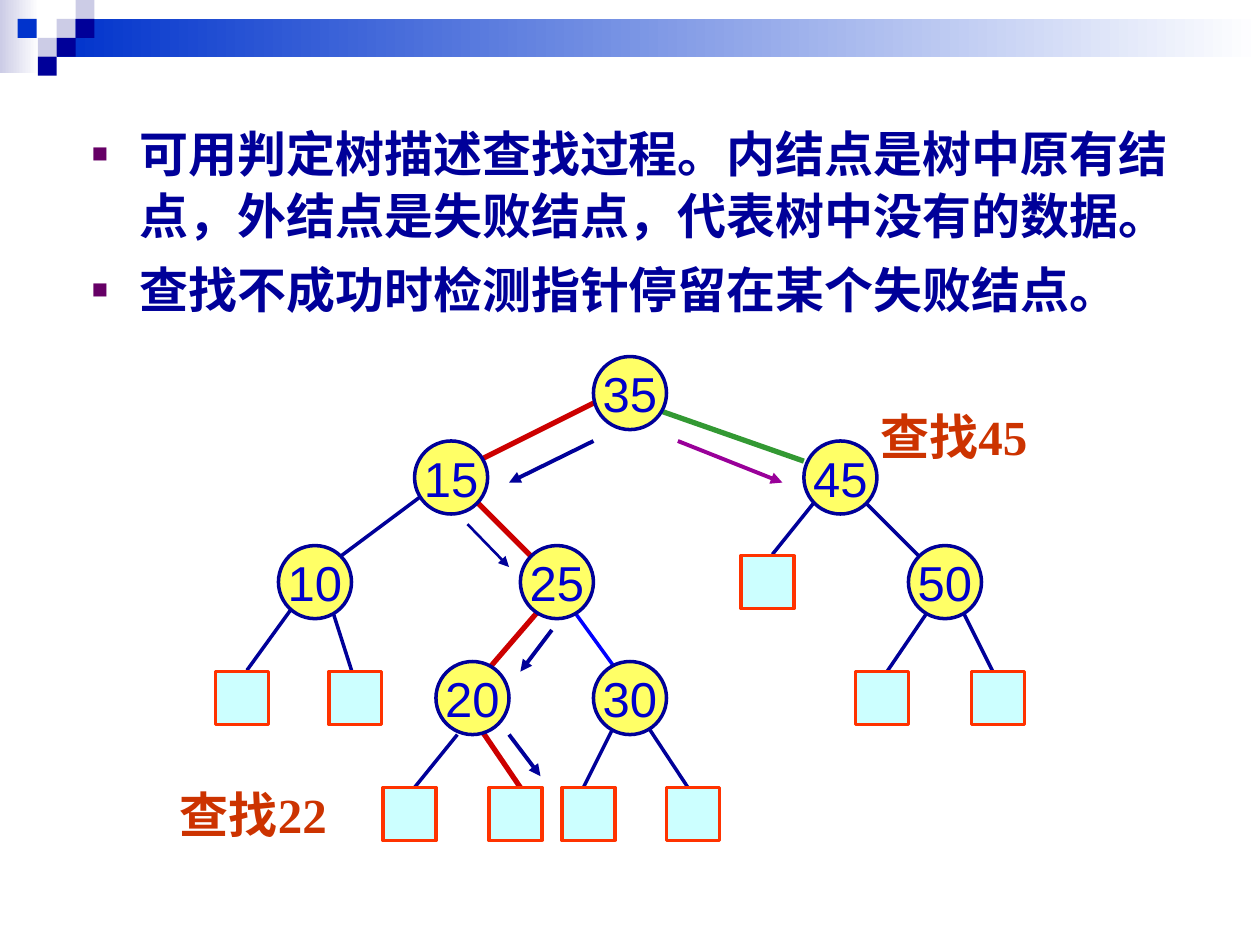
from typing import NamedTuple

import lxml.etree
import pptx
import pptx.dml.color
import pptx.enum.dml
import pptx.enum.shapes
import pptx.enum.text
import pptx.oxml.ns
import pptx.util
from pptx.util import Inches

HEX = {
    "navy": "000099", "blue": "0033CC", "pale": "CCCCE6", "white": "FFFFFF",
    "plum": "660066", "ink": "0000CC", "yellow": "FFFF66", "cyan": "CCFFFF",
    "orange": "FF3300", "rust": "CC3300", "red": "CC0000", "green": "339933",
    "bright": "0000FF", "purple": "990099",
}
KIND = pptx.enum.shapes.MSO_SHAPE
ALIGN = pptx.enum.text.PP_ALIGN
NODE = 0.58   # circle diameter
LEAF = 0.42   # side of a failure node
CELL = 0.15   # side of a header square


class Node(NamedTuple):
    key: str
    left: float
    top: float


class Line(NamedTuple):
    x1: float
    y1: float
    x2: float
    y2: float
    color: str = "navy"
    width: float = 2


class Label(NamedTuple):
    text: str
    left: float
    top: float


SQUARES = [
    (0.45, 0.15, "pale"), (0.6, 0, "pale"), (0.6, 0.15, "navy"),
    (0.3, 0.3, "pale"), (0.14, 0.15, "blue"), (0.45, 0.3, "navy"),
    (0.3, 0.45, "navy"),
]
POINTS = [
    "可用判定树描述查找过程。内结点是树中原有结点，外结点是失败结点，代表树中没有的数据。",
    "查找不成功时检测指针停留在某个失败结点。",
]
EDGES = [
    Line(4.79, 3.16, 3.79, 3.66, "red", 3),
    Line(4.29, 4.83, 3.79, 5.41, "red", 3),
    Line(3.71, 3.91, 4.21, 4.41, "red", 3),
    Line(3.79, 5.75, 4.13, 6.25, "red", 3),
    Line(5.13, 5.75, 5.46, 6.25),
    Line(7.63, 4.83, 7.88, 5.33),
    Line(2.63, 4.82, 2.79, 5.32),
    Line(7.38, 4.83, 7.04, 5.33),
    Line(4.88, 5.75, 4.63, 6.25),
    Line(3.63, 5.83, 3.29, 6.25),
    Line(2.38, 4.74, 1.96, 5.32),
    Line(5.21, 3.25, 6.38, 3.66, "green", 3),
    Line(6.88, 4, 7.29, 4.41),
    Line(4.54, 4.83, 4.96, 5.41, "bright"),
    Line(6.46, 3.99, 6.13, 4.4),
    Line(3.38, 3.91, 2.71, 4.41),
]
ARROWS = [
    Line(4.71, 3.5, 4.04, 3.83, width=2.25),
    Line(3.71, 4.16, 4.04, 4.5, width=1.5),
    Line(4.38, 5, 4.13, 5.33, width=2.25),
    Line(4.04, 5.83, 4.29, 6.16, width=2.25),
    Line(5.38, 3.5, 6.21, 3.83, "purple", 2.25),
]
NODES = [
    Node("35", 4.71, 2.83), Node("15", 3.29, 3.5), Node("45", 6.38, 3.5),
    Node("50", 7.21, 4.33), Node("25", 4.13, 4.33), Node("10", 2.21, 4.33),
    Node("20", 3.46, 5.25), Node("30", 4.71, 5.25),
]
LEAVES = {
    4.41: [5.88],
    5.33: [1.71, 2.61, 6.79, 7.71],
    6.25: [3.04, 3.88, 4.46, 5.29],
}
LABELS = [Label("查找22", 1.33, 6.18), Label("查找45", 6.89, 3.18)]


def rgb(name: str) -> pptx.dml.color.RGBColor:
    return pptx.dml.color.RGBColor.from_string(HEX[name])


def add(parent, tag: str, **attrs: str):
    return lxml.etree.SubElement(parent, pptx.oxml.ns.qn(tag), attrs)


def write(para, text: str, *, font: str = "Arial", size: float = 28,
          color: str = "navy", bold: bool = False, align=None) -> None:
    run = para.add_run()
    run.text = text
    run.font.name = font
    run.font.size = pptx.util.Pt(size)
    run.font.bold = bold
    run.font.color.rgb = rgb(color)
    para.alignment = align


def draw(slide, kind, left: float, top: float, width: float, height: float,
         fill: str, edge: str = ""):
    """Add a flat shape; without an edge colour it has no outline."""
    shape = slide.shapes.add_shape(
        kind, Inches(left), Inches(top), Inches(width), Inches(height))
    shape.shadow.inherit = False
    shape.fill.solid()
    shape.fill.fore_color.rgb = rgb(fill)
    if edge:
        shape.line.color.rgb = rgb(edge)
        shape.line.width = pptx.util.Pt(2)
    else:
        shape.line.fill.background()
    return shape


def fade(shape, start: str) -> None:
    """Fill a shape from the start colour to white, left to right."""
    shape.fill.gradient()
    shape.fill.gradient_angle = 0
    for stop, name, place in zip(shape.fill.gradient_stops,
                                 (start, "white"), (0, 1)):
        stop.color.rgb = rgb(name)
        stop.position = place


def link(slide, line: Line, arrow: bool = False) -> None:
    conn = slide.shapes.add_connector(
        pptx.enum.shapes.MSO_CONNECTOR.STRAIGHT,
        *map(Inches, (line.x1, line.y1, line.x2, line.y2)))
    conn.line.color.rgb = rgb(line.color)
    conn.line.width = pptx.util.Pt(line.width)
    if arrow:
        add(conn.line._get_or_add_ln(), "a:tailEnd", type="triangle")
    add(conn._element.spPr, "a:effectLst")


def mark(para) -> None:
    """Give a paragraph a square bullet with a hanging indent."""
    props = para._p.get_or_add_pPr()
    hang = Inches(0.38)
    props.set("marL", str(hang))
    props.set("indent", str(-hang))
    add(add(props, "a:buClr"), "a:srgbClr", val=HEX["plum"])
    add(props, "a:buSzPct", val="55000")
    add(props, "a:buFont", typeface="Arial")
    add(props, "a:buChar", char="■")


def header(slide) -> None:
    fade(draw(slide, KIND.RECTANGLE, 0, 0, 0.31, 0.58, "pale"), "pale")
    fade(draw(slide, KIND.RECTANGLE, 0.45, 0.15, 9.55, 0.3, "blue"), "blue")
    for left, top, color in SQUARES:
        draw(slide, KIND.RECTANGLE, left, top, CELL, CELL, color)


def body(slide) -> None:
    frame = slide.shapes.add_textbox(
        Inches(0.63), Inches(0.91), Inches(9.02), Inches(2)).text_frame
    frame.word_wrap = True
    for i, text in enumerate(POINTS):
        para = frame.add_paragraph() if i else frame.paragraphs[0]
        mark(para)
        para.line_spacing = 1.05
        para.space_before = pptx.util.Pt(7 if i else 0)
        write(para, text, bold=True)


def tree(slide) -> None:
    for edge in EDGES:
        link(slide, edge)
    for node in NODES:
        frame = draw(slide, KIND.OVAL, node.left, node.top, NODE, NODE,
                     "yellow", "navy").text_frame
        frame.word_wrap = False
        frame.vertical_anchor = pptx.enum.text.MSO_ANCHOR.MIDDLE
        write(frame.paragraphs[0], node.key, color="ink", align=ALIGN.CENTER)
    for top, lefts in LEAVES.items():
        for left in lefts:
            draw(slide, KIND.RECTANGLE, left, top, LEAF, LEAF,
                 "cyan", "orange")


def main() -> None:
    deck = pptx.Presentation()
    deck.slide_width, deck.slide_height = Inches(10), Inches(7.5)
    slide = deck.slides.add_slide(deck.slide_layouts[6])
    header(slide)
    body(slide)
    tree(slide)
    for arrow in ARROWS:
        link(slide, arrow, arrow=True)
    for label in LABELS:
        frame = slide.shapes.add_textbox(
            Inches(label.left), Inches(label.top),
            Inches(1.46), Inches(0.57)).text_frame
        frame.word_wrap = False
        write(frame.paragraphs[0], label.text, font="Times New Roman",
              color="rust", bold=True)
    deck.save("out.pptx")


if __name__ == "__main__":
    main()
